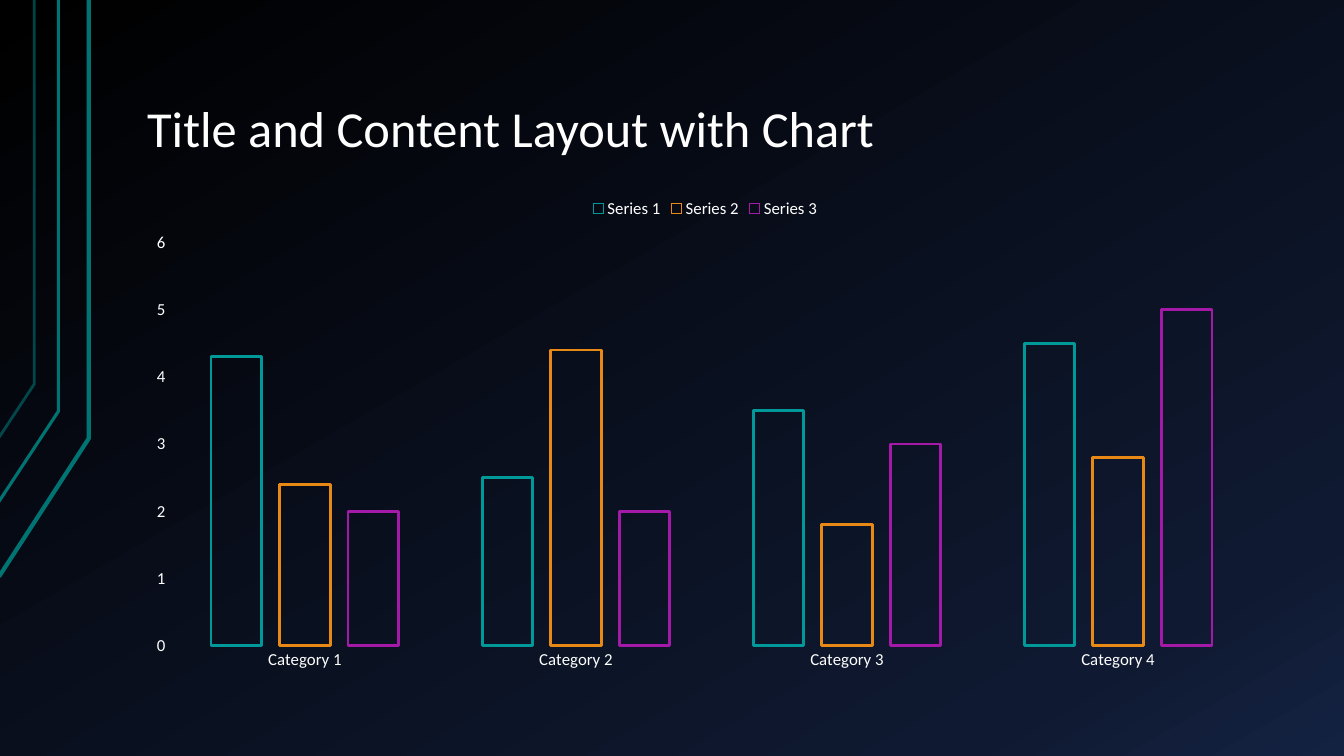
from dataclasses import dataclass
from lxml import etree
from pptx import Presentation
from pptx import util as u
from pptx.chart.data import CategoryChartData
from pptx.dml.color import RGBColor
from pptx.enum import chart as ch, text as tx
from pptx.oxml import parse_xml
from pptx.oxml.ns import qn


@dataclass(frozen=True)
class Theme:
    font: str = "Calibri"
    white: str = "FFFFFF"
    trim: str = "007373"
    bars: tuple = ("009999", "E98915", "A419A7")
    back: tuple = ((0, "000000"), (85, "0F1931"), (100, "142242"))
    angle: int = 60
    title: int = 36
    label: int = 12


THEME = Theme()
NS = "http://schemas.openxmlformats.org/drawingml/2006/main"


def style(font, size, color=THEME.white):
    font.name = THEME.font
    font.size = u.Pt(size)
    font.bold = False
    font.color.rgb = RGBColor.from_string(color)


def stroke(line, color, width):
    line.color.rgb = RGBColor.from_string(color)
    line.width = u.Pt(width)


def put_text(frame, words, size, anchor, spacing):
    frame.word_wrap = True
    frame.auto_size = tx.MSO_AUTO_SIZE.NONE
    frame.vertical_anchor = anchor
    frame.margin_left = frame.margin_right = u.Inches(0.13)
    frame.margin_top = frame.margin_bottom = u.Inches(0.07)
    para = frame.paragraphs[0]
    para.alignment = tx.PP_ALIGN.LEFT
    para.line_spacing = spacing
    run = para.add_run()
    run.text = words
    style(run.font, size)


def paint_back(slide):
    fill = slide.background.fill
    fill.gradient()
    fill.gradient_angle = 360 - THEME.angle
    # Three colour stops
    stops = "".join(
        f'<a:gs pos="{pos * 1000}"><a:srgbClr val="{color}"/></a:gs>'
        for pos, color in THEME.back)
    new = parse_xml(f'<a:gsLst xmlns:a="{NS}">{stops}</a:gsLst>')
    old = next(slide.background._cSld.iter(qn("a:gsLst")))
    old.getparent().replace(old, new)


def add_trim(slide, points, width, alpha=100):
    start, *rest = [(u.Inches(x), u.Inches(y)) for x, y in points]
    pen = slide.shapes.build_freeform(*start)
    pen.add_line_segments(rest, close=False)
    shape = pen.convert_to_shape()
    shape.shadow.inherit = False
    shape.fill.background()
    stroke(shape.line, THEME.trim, width)
    if alpha < 100:
        color = next(shape.line._ln.iter(qn("a:srgbClr")))
        etree.SubElement(color, qn("a:alpha"), val=str(alpha * 1000))


def add_title(slide, words):
    title = slide.shapes.title
    title.left, title.top = u.Inches(1.33), u.Inches(0.3)
    title.width, title.height = u.Inches(11.33), u.Inches(1.34)
    put_text(title.text_frame, words, size=THEME.title,
             anchor=tx.MSO_ANCHOR.BOTTOM, spacing=0.9)


def set_axis(axis):
    axis.has_major_gridlines = False
    axis.major_tick_mark = axis.minor_tick_mark = ch.XL_TICK_MARK.NONE
    axis.format.line.fill.background()
    style(axis.tick_labels.font, THEME.label)


def add_bars(slide, cats, rows):
    data = CategoryChartData()
    data.categories = cats
    for name, vals in rows.items():
        data.add_series(name, vals)
    chart = slide.shapes.add_chart(
        ch.XL_CHART_TYPE.COLUMN_CLUSTERED, u.Inches(1.33), u.Inches(1.86),
        u.Inches(11.33), u.Inches(4.88), data).chart
    chart.has_title = False
    style(chart.font, THEME.label)

    # Axes and legend
    set_axis(chart.category_axis)
    axis = chart.value_axis
    set_axis(axis)
    axis.minimum_scale, axis.maximum_scale, axis.major_unit = 0, 6, 1
    chart.has_legend = True
    chart.legend.position = ch.XL_LEGEND_POSITION.TOP
    chart.legend.include_in_layout = False
    style(chart.legend.font, THEME.label)

    # Outlined columns
    plot = chart.plots[0]
    plot.gap_width, plot.overlap = 164, -35
    plot.vary_by_categories = False
    for row, color in zip(plot.series, THEME.bars):
        row.format.fill.background()
        row.invert_if_negative = False
        stroke(row.format.line, color, 2)


def main():
    deck = Presentation()
    deck.slide_width, deck.slide_height = u.Inches(13.33), u.Inches(7.5)
    slide = deck.slides.add_slide(deck.slide_layouts[5])
    paint_back(slide)

    # Bent lines at the left edge
    add_trim(slide, [(-0.01, 5.72), (0.88, 4.35), (0.88, 0)], 3)
    add_trim(slide, [(-0.02, 4.99), (0.58, 4.08), (0.58, 0)], 2.25)
    add_trim(slide, [(-0.01, 4.34), (0.34, 3.81), (0.34, 0)], 2, alpha=60)

    # Title and chart
    add_title(slide, "Title and Content Layout with Chart")
    add_bars(slide, [f"Category {n}" for n in range(1, 5)], {
        "Series 1": (4.3, 2.5, 3.5, 4.5),
        "Series 2": (2.4, 4.4, 1.8, 2.8),
        "Series 3": (2, 2, 3, 5),
    })
    deck.save("out.pptx")


main()
